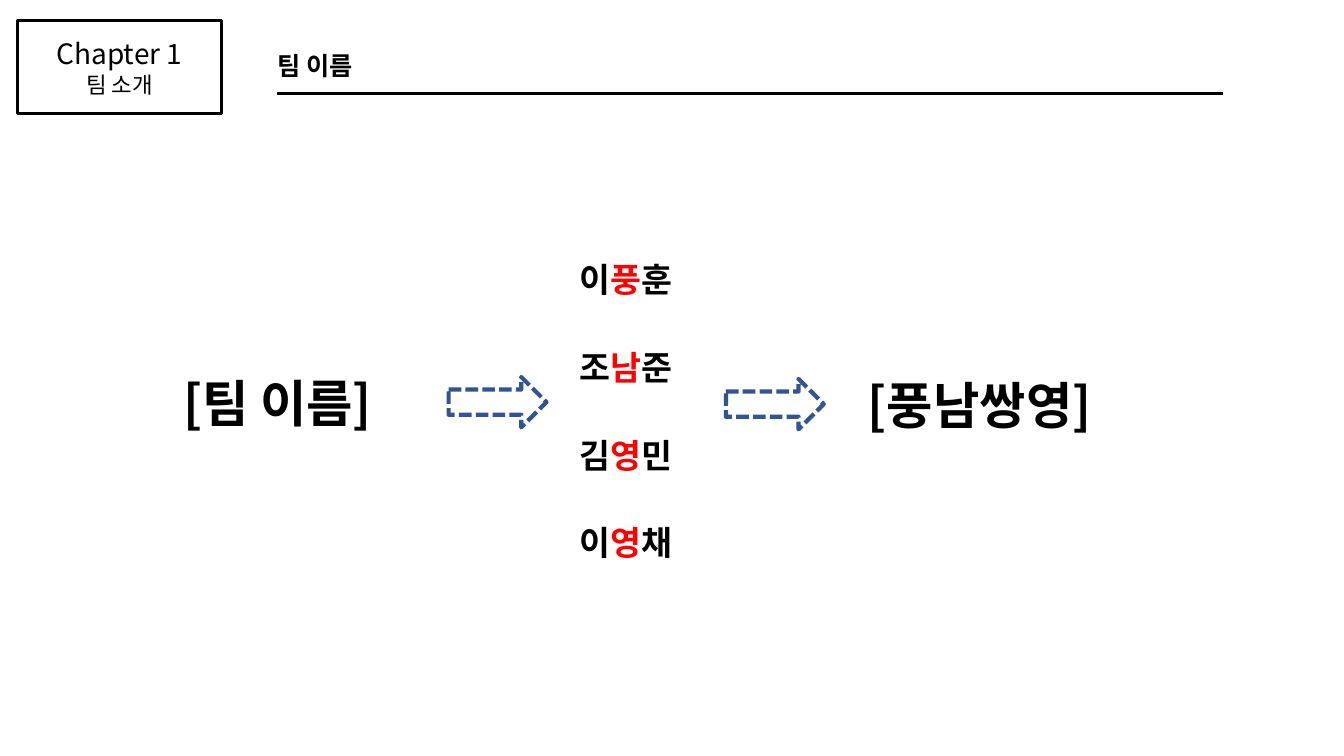
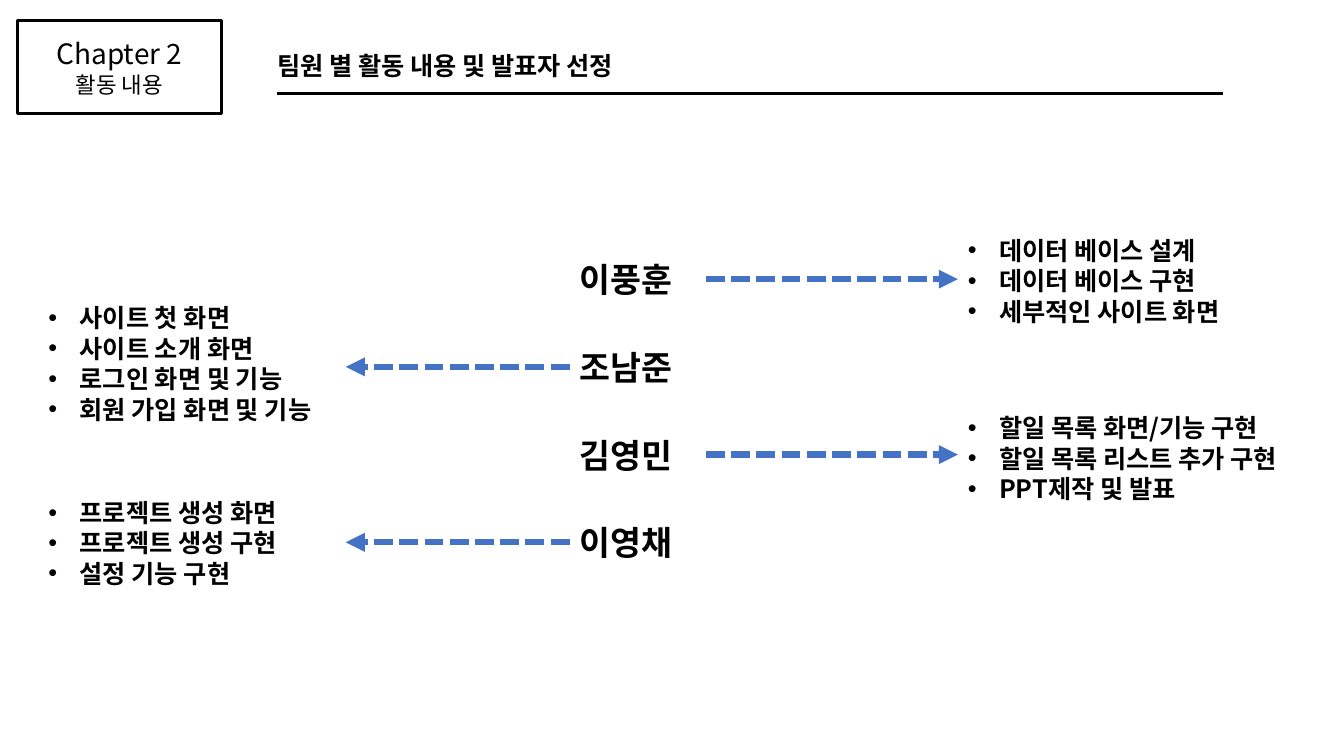
"""Build two slides that present a project team and its tasks."""
from lxml import etree
from pptx import Presentation
from pptx.dml.color import RGBColor
from pptx.enum.dml import MSO_LINE
from pptx.enum.shapes import MSO_CONNECTOR, MSO_SHAPE
from pptx.enum.text import MSO_ANCHOR, MSO_AUTO_SIZE, PP_ALIGN
from pptx.oxml.ns import qn
from pptx.util import Inches, Pt

RECTANGLE, RIGHT_ARROW = MSO_SHAPE.RECTANGLE, MSO_SHAPE.RIGHT_ARROW
STRAIGHT = MSO_CONNECTOR.STRAIGHT
SYSTEM_DASH = MSO_LINE.SQUARE_DOT
TOP, MIDDLE = MSO_ANCHOR.TOP, MSO_ANCHOR.MIDDLE
LEFT, CENTER = PP_ALIGN.LEFT, PP_ALIGN.CENTER
NO_AUTOFIT = MSO_AUTO_SIZE.NONE

FONT = "Noto Sans CJK KR"
BLACK, WHITE, RED = "000000", "FFFFFF", "FF0000"
BLUE, DARK_BLUE = "4472C4", "325491"
LINE_HEIGHT = 1.21
TITLE_ONLY, COMPARISON = 5, 4
NAME_LEFT, NAME_TOP, NAME_STEP, NAME_HEIGHT = 5.65, 2.52, 0.87, 0.5
MEMBERS = ["이풍훈", "조남준", "김영민", "이영채"]
TASKS = [
    (9.5, 2.28, 3.32, ["데이터 베이스 설계", "데이터 베이스 구현", "세부적인 사이트 화면"]),
    (0.38, 2.95, 3.25, ["사이트 첫 화면", "사이트 소개 화면", "로그인 화면 및 기능", "회원 가입 화면 및 기능"]),
    (9.5, 4.04, 3.64, ["할일 목록 화면/기능 구현", "할일 목록 리스트 추가 구현", "PPT제작 및 발표"]),
    (0.38, 4.88, 3.05, ["프로젝트 생성 화면", "프로젝트 생성 구현", "설정 기능 구현"]),
]


def color(value):
    """Return the colour of a hex string."""
    return RGBColor.from_string(value)


class Deck:
    """Hold the presentation, its style and the current slide."""

    def __init__(self):
        """Start a wide presentation."""
        self.presentation = Presentation()
        self.presentation.slide_width = Inches(13.33)
        self.presentation.slide_height = Inches(7.5)
        self.slide = None

    def style(self, paragraph, size, bold=True, alignment=LEFT):
        """Set the alignment and font of a paragraph."""
        paragraph.alignment = alignment
        font = paragraph.font
        font.size, font.bold, font.name = Pt(size), bold, FONT
        font.color.rgb = color(BLACK)
        properties = paragraph._p.pPr.find(qn("a:defRPr"))
        etree.SubElement(properties, qn("a:ea"), typeface=FONT)

    def place(self, shape, left, top, width, height, anchor=MIDDLE):
        """Move a text shape and return its wrapped text frame."""
        shape.left, shape.top = Inches(left), Inches(top)
        shape.width, shape.height = Inches(width), Inches(height)
        frame = shape.text_frame
        frame.word_wrap, frame.auto_size = True, NO_AUTOFIT
        frame.vertical_anchor = anchor
        return frame

    def add_slide(self, layout, chapter, topic, heading):
        """Add a slide with its chapter box, heading and rule."""
        layouts = self.presentation.slide_layouts
        self.slide = self.presentation.slides.add_slide(layouts[layout])
        frame = self.place(self.slide.shapes.title, 2.65, 0.45, 5.39, 0.4)
        frame.text = heading
        self.style(frame.paragraphs[0], 18)
        box = self.shape(RECTANGLE, 0.17, 0.2, 2.03, 0.93, None, BLACK, 2)
        frame = box.text_frame
        frame.vertical_anchor = MIDDLE
        frame.text = f"{chapter}\n{topic}"
        for paragraph, size in zip(frame.paragraphs, (20, 16)):
            paragraph.line_spacing = Pt(size * LINE_HEIGHT)
            self.style(paragraph, size, False, CENTER)
        self.line(2.75, 12.13, 0.93, BLACK, 2.25)

    def shape(self, kind, left, top, width, height, fill, line, weight):
        """Add a preset shape without shadow."""
        shape = self.slide.shapes.add_shape(
            kind, Inches(left), Inches(top), Inches(width), Inches(height))
        shape.shadow.inherit = False
        if fill:
            shape.fill.solid()
            shape.fill.fore_color.rgb = color(fill)
        else:
            shape.fill.background()
        shape.line.color.rgb = color(line)
        shape.line.width = Pt(weight)
        return shape

    def block_arrow(self, left, top):
        """Add a dashed block arrow."""
        arrow = self.shape(RIGHT_ARROW, left, top, 0.97, 0.5, WHITE, DARK_BLUE, 3)
        arrow.line.dash_style = SYSTEM_DASH

    def line(self, start, end, top, line_color, weight):
        """Add a horizontal line."""
        connector = self.slide.shapes.add_connector(
            STRAIGHT, Inches(start), Inches(top), Inches(end), Inches(top))
        connector.line.color.rgb = color(line_color)
        connector.line.width = Pt(weight)
        etree.SubElement(connector._element.spPr, qn("a:effectLst"))
        return connector

    def dashed_arrow(self, start, end, top):
        """Add a dashed line with an arrowhead at its end."""
        connector = self.line(start, end, top, BLUE, 4.5)
        connector.line.dash_style = SYSTEM_DASH
        outline = connector._element.spPr.find(qn("a:ln"))
        etree.SubElement(outline, qn("a:tailEnd"), type="triangle")

    def label(self, runs, left, top, width, height, size):
        """Add a bold one-line text made of (text, colour) runs."""
        box = self.slide.shapes.add_textbox(0, 0, 0, 0)
        paragraph = self.place(box, left, top, width, height).paragraphs[0]
        self.style(paragraph, size)
        for text, run_color in runs:
            run = paragraph.add_run()
            run.text = text
            if run_color != BLACK:
                run.font.color.rgb = color(run_color)

    def members(self, highlight):
        """Add the column of names, with the middle syllable in a colour."""
        for row, name in enumerate(MEMBERS):
            runs = [(name, BLACK)]
            if highlight:
                runs = zip(name, (BLACK, highlight, BLACK))
            top = NAME_TOP + row * NAME_STEP
            self.label(runs, NAME_LEFT, top, 2.03, NAME_HEIGHT, 24)

    def task_list(self, placeholder, left, top, width, tasks):
        """Fill a body placeholder with bulleted tasks."""
        height = 0.1 + len(tasks) * 18 * LINE_HEIGHT / 72
        frame = self.place(placeholder, left, top, width, height, TOP)
        frame.text = "\n".join(tasks)
        for paragraph in frame.paragraphs:
            properties = paragraph._p.get_or_add_pPr()
            properties.set("marL", str(Inches(0.31)))
            properties.set("indent", str(-Inches(0.31)))
            etree.SubElement(properties, qn("a:buFont"), typeface="Arial")
            etree.SubElement(properties, qn("a:buChar"), char="•")
            paragraph.space_before = Pt(0)
            paragraph.line_spacing = Pt(18 * LINE_HEIGHT)
            self.style(paragraph, 18)


def main():
    """Build and save the slides."""
    deck = Deck()

    deck.add_slide(TITLE_ONLY, "Chapter 1", "팀 소개", "팀 이름")
    deck.members(RED)
    deck.label([("[팀 이름]", BLACK)], 1.72, 3.64, 2.68, 0.71, 36)
    deck.block_arrow(4.45, 3.74)
    deck.block_arrow(7.2, 3.76)
    deck.label([("[풍남쌍영]", BLACK)], 8.51, 3.66, 2.68, 0.71, 36)

    deck.add_slide(COMPARISON, "Chapter 2", "활동 내용", "팀원 별 활동 내용 및 발표자 선정")
    deck.members(None)
    bodies = list(deck.slide.placeholders)[1:]
    for row, (body, (left, top, width, tasks)) in enumerate(zip(bodies, TASKS)):
        deck.task_list(body, left, top, width, tasks)
        start, end = (7, 9.5) if left > NAME_LEFT else (5.65, 3.43)
        deck.dashed_arrow(start, end, NAME_TOP + NAME_HEIGHT / 2 + row * NAME_STEP)

    deck.presentation.save("out.pptx")


if __name__ == "__main__":
    main()
